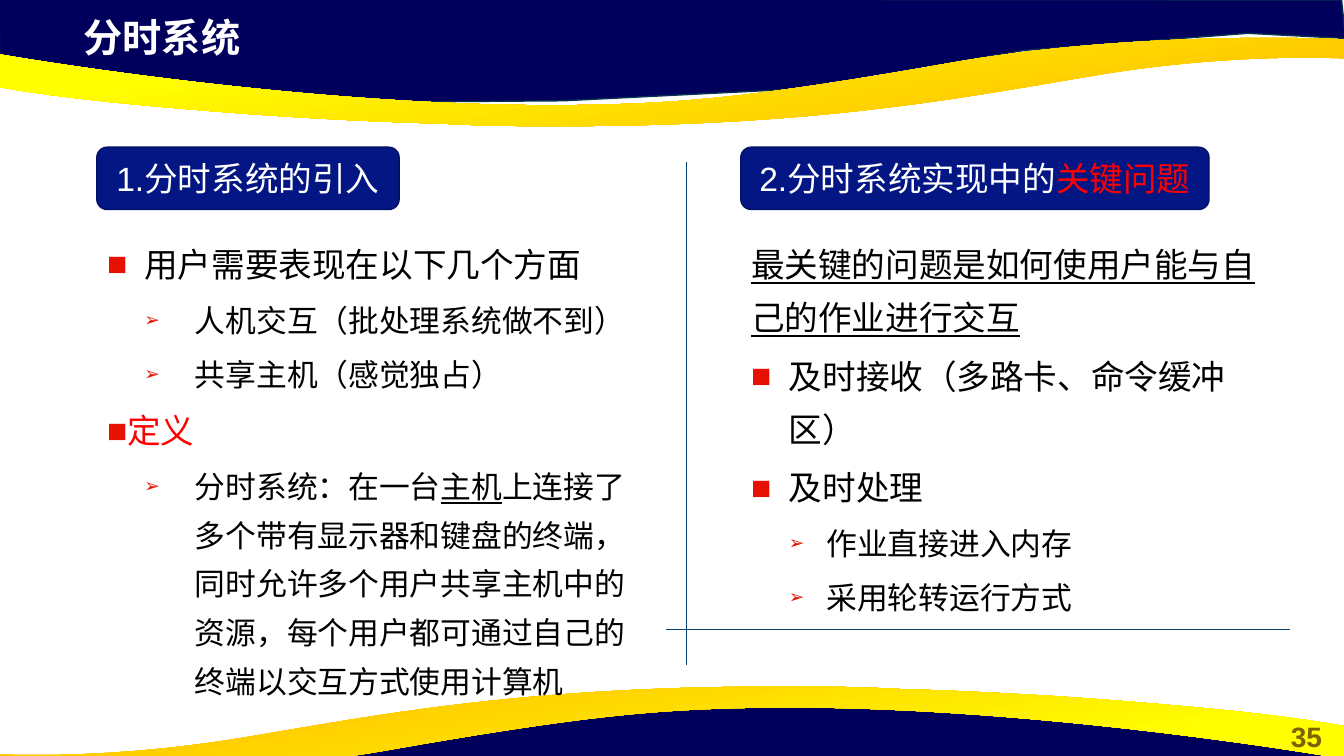
"""Builds the slide on time-sharing systems: two columns between wave bands."""
import pptx
import pptx.dml.color
import pptx.enum.shapes
import pptx.enum.text
import pptx.oxml
import pptx.oxml.ns
import pptx.util
from pptx.util import Cm

RGBColor = pptx.dml.color.RGBColor
NAVY = RGBColor(0x00, 0x00, 0x5C)
NAVY_EDGE = RGBColor(0x05, 0x30, 0x4F)
GOLD = RGBColor(0xFF, 0xC0, 0x00)
YELLOW = RGBColor(0xFF, 0xFF, 0x00)
HEADING_FILL = RGBColor(0x03, 0x16, 0x84)
HEADING_EDGE = RGBColor(0x02, 0x10, 0x62)
RULE = RGBColor(0x07, 0x41, 0x6B)
PAGE_NUMBER = RGBColor(0x80, 0x60, 0x00)
BULLET = RGBColor(0xE7, 0x11, 0x01)
RED = RGBColor(0xFF, 0x00, 0x00)
WHITE = RGBColor(0xFF, 0xFF, 0xFF)
BLACK = RGBColor(0x00, 0x00, 0x00)

deck = pptx.Presentation()
deck.slide_width = Cm(33.87)
deck.slide_height = Cm(19.05)
page = deck.slides.add_slide(deck.slide_layouts[6])
namespace = pptx.oxml.ns.nsdecls("a")


def add_wave(steps, turn_sums):
    """Draw an outline; a step of one point is a line, of three a curve."""
    points = [point for step in steps for point in step]
    if turn_sums:
        points = [(turn_sums[0] - x, turn_sums[1] - y) for x, y in points]
    grid = [(round(x * 100), round(y * 100)) for x, y in points]
    builder = page.shapes.build_freeform(*grid[0], scale=Cm(0.01))
    builder.add_line_segments(grid[1:], close=True)
    wave = builder.convert_to_shape()
    wave.shadow.inherit = False
    segments = iter(wave._element.xpath(".//a:lnTo"))
    for step in steps[1:]:
        parts = [next(segments) for _ in step]
        if len(parts) == 3:
            curve = pptx.oxml.parse_xml(f"<a:cubicBezTo {namespace}/>")
            parts[0].addprevious(curve)
            for part in parts:
                curve.append(part[0])
                part.getparent().remove(part)
    return wave


def add_span(para, text, size, color, bold=False, underline=False):
    span = para.add_run()
    span.text = text
    span.font.name = "Arial"
    span.font.size = pptx.util.Pt(size)
    span.font.color.rgb = color
    span.font.bold = bold
    span.font.underline = underline


navy_steps = [[point] for point in (
    (-0.03, -0.03), (0, 1.78), (7.44, 2.59), (14.2, 2.54), (20.19, 2.24),
    (25.81, 1.27), (31.45, 0.84), (33.91, 0.97), (33.81, 0),
)]
gold_steps = [
    [(14.15, 3.18)],
    [(13.23, 3.18), (12.24, 3.18), (11.2, 3.12)],
    [(7.72, 3.02), (5.51, 2.82), (3.78, 2.67)],
    [(0.94, 2.41), (-0.05, 2.18), (-0.13, 2.18)],
    [(-0.13, 1.35)],
    [(-0.13, 1.35), (8, 2.79), (14.94, 2.64)],
    [(17.48, 2.59), (19.38, 2.39), (24.16, 1.55)],
    [(28.93, 0.74), (33.86, 0.99), (33.86, 0.99)],
    [(33.86, 1.47)],
    [(33.78, 1.47)],
    [(33.2, 1.45), (30.66, 1.37), (27.43, 1.93)],
    [(24.26, 2.46), (20.62, 3.18), (14.15, 3.18)],
]

for navy_turn, gold_turn, gradient_angle in [
        (None, None, 100), ((33.83, 20.14), (33.78, 20.48), 280)]:
    navy_wave = add_wave(navy_steps, navy_turn)
    navy_wave.fill.solid()
    navy_wave.fill.fore_color.rgb = NAVY
    navy_wave.line.color.rgb = NAVY_EDGE
    navy_wave.line.width = pptx.util.Pt(1)
    gold_wave = add_wave(gold_steps, gold_turn)
    gold_wave.line.fill.background()
    gold_wave.fill.gradient()
    gold_wave.fill.gradient_angle = gradient_angle
    stops = gold_wave.fill.gradient_stops
    for stop, position, color in zip(stops, (0.11, 0.78), (GOLD, YELLOW)):
        stop.position = position
        stop.color.rgb = color

number_box = page.shapes.add_textbox(Cm(32), Cm(18.01), Cm(1.85), Cm(1.12))
number_para = number_box.text_frame.paragraphs[0]
number_para.alignment = pptx.enum.text.PP_ALIGN.CENTER
add_span(number_para, "35", 20, PAGE_NUMBER, bold=True)

title_box = page.shapes.add_textbox(Cm(1.86), Cm(0.21), Cm(19.5), Cm(1.45))
title_box.text_frame.word_wrap = True
add_span(title_box.text_frame.paragraphs[0], "分时系统", 28, WHITE, bold=True)

headings = [
    (2.44, 7.62, [("1.分时系统的引入", WHITE)]),
    (18.67, 11.8, [("2.分时系统实现中的", WHITE), ("关键问题", RED)]),
]
for left, width, spans in headings:
    heading = page.shapes.add_shape(
        pptx.enum.shapes.MSO_SHAPE.ROUNDED_RECTANGLE,
        Cm(left), Cm(3.71), Cm(width), Cm(1.57))
    heading.shadow.inherit = False
    heading.fill.solid()
    heading.fill.fore_color.rgb = HEADING_FILL
    heading.line.color.rgb = HEADING_EDGE
    heading.line.width = pptx.util.Pt(1)
    heading.text_frame.word_wrap = False
    heading.text_frame.vertical_anchor = pptx.enum.text.MSO_ANCHOR.MIDDLE
    para = heading.text_frame.paragraphs[0]
    para.alignment = pptx.enum.text.PP_ALIGN.CENTER
    for text, color in spans:
        add_span(para, text, 24, color)

columns = [
    (2.45, 14.15, 10.16, [
        ("■", 0.94, -1.47, [("用户需要表现在以下几个方面", BLACK, False)]),
        ("➢", 2.21, -1.27, [("人机交互（批处理系统做不到）", BLACK, False)]),
        ("➢", 2.21, -1.27, [("共享主机（感觉独占）", BLACK, False)]),
        ("■", 0, -1.47, [("定义", RED, False)]),
        ("➢", 2.21, -1.27, [
            ("分时系统：在一台", BLACK, False),
            ("主机", BLACK, True),
            ("上连接了多个带有显示器和键盘的终端，同时允许多个用户共享主机中的资源，"
             "每个用户都可通过自己的终端以交互方式使用计算机", BLACK, False)]),
    ]),
    (18.68, 13.82, 8.28, [
        (None, 0, 0, [("最关键的问题是如何使用户能与自己的作业进行交互", BLACK, True)]),
        ("■", 0.95, -0.95, [("及时接收（多路卡、命令缓冲区）", BLACK, False)]),
        ("■", 0.95, -0.95, [("及时处理", BLACK, False)]),
        ("➢", 1.9, -0.95, [("作业直接进入内存", BLACK, False)]),
        ("➢", 1.9, -0.95, [("采用轮转运行方式", BLACK, False)]),
    ]),
]
for left, width, height, items in columns:
    column = page.shapes.add_textbox(Cm(left), Cm(5.7), Cm(width), Cm(height))
    frame = column.text_frame
    frame.word_wrap = True
    for index, (mark, margin, indent, spans) in enumerate(items):
        para = frame.add_paragraph() if index else frame.paragraphs[0]
        is_detail = mark == "➢"
        para.level = 1 if is_detail else 0
        para.line_spacing = 1.32
        if index:
            para.space_before = pptx.util.Pt(3.7)
        properties = para._p.get_or_add_pPr()
        properties.set("marL", str(Cm(margin)))
        properties.set("indent", str(Cm(indent)))
        if mark:
            bullet_size = 60 if is_detail else 100
            for element in (
                    f'<a:buClr {namespace}><a:srgbClr val="{BULLET}"/></a:buClr>',
                    f'<a:buSzPct {namespace} val="{bullet_size * 1000}"/>',
                    f'<a:buFont {namespace} typeface="Arial"/>',
                    f'<a:buChar {namespace} char="{mark}"/>'):
                properties.append(pptx.oxml.parse_xml(element))
        for text, color, underline in spans:
            add_span(para, text, 22 if is_detail else 24, color, underline=underline)

for start_x, start_y, end_x, end_y in [
        (17.3, 4.09, 17.3, 16.75), (16.79, 15.86, 32.51, 15.86)]:
    divider = page.shapes.add_connector(
        pptx.enum.shapes.MSO_CONNECTOR.STRAIGHT,
        Cm(start_x), Cm(start_y), Cm(end_x), Cm(end_y))
    divider.line.color.rgb = RULE
    divider.line.width = pptx.util.Pt(0.5)
    divider._element.spPr.append(pptx.oxml.parse_xml(f"<a:effectLst {namespace}/>"))

deck.save("out.pptx")
